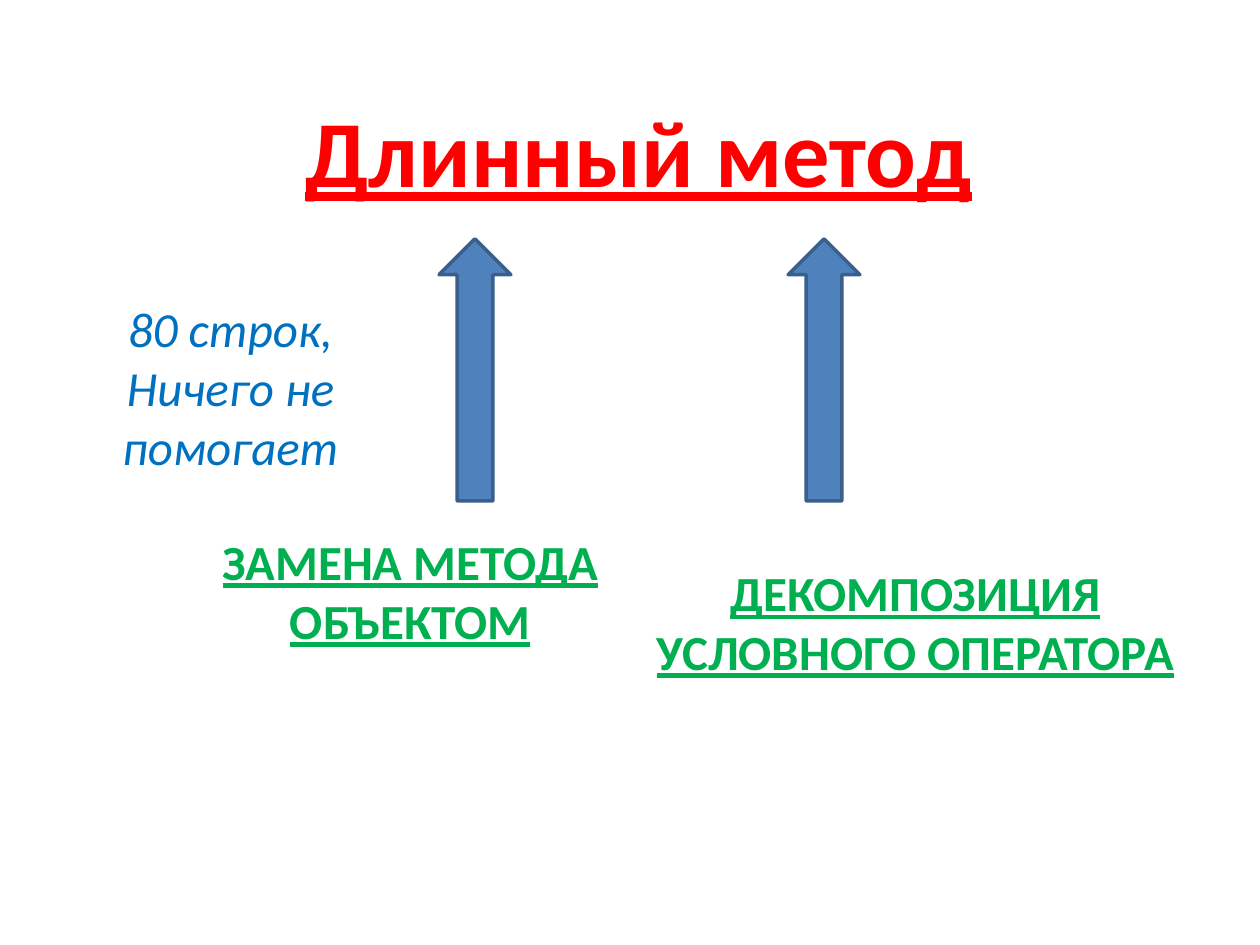
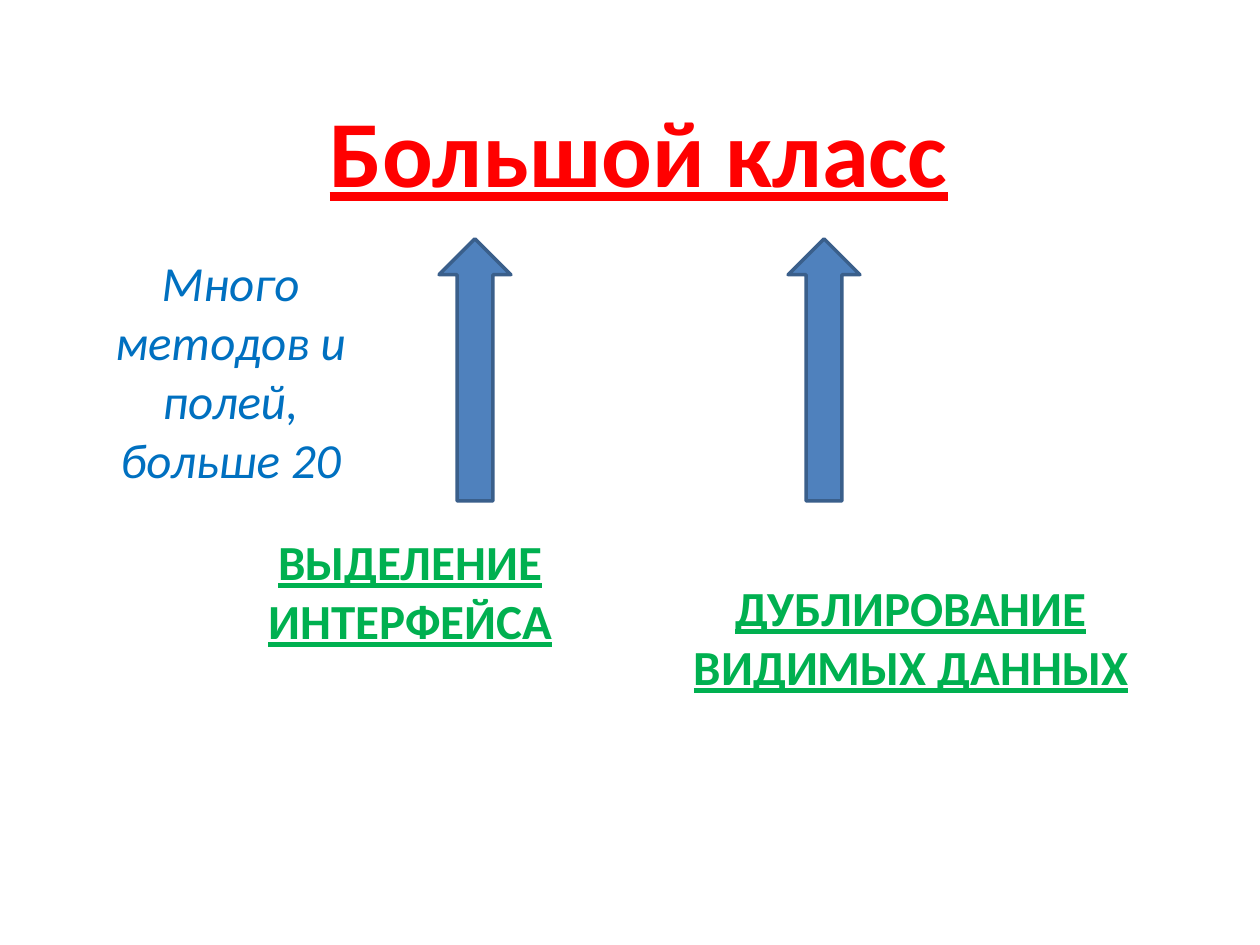
from pptx import Presentation
from pptx.dml.color import RGBColor
from pptx.enum.shapes import MSO_SHAPE
from pptx.enum.text import MSO_ANCHOR, PP_ALIGN
from pptx.util import Inches, Pt

ARROW = MSO_SHAPE.RIGHT_ARROW
MIDDLE = MSO_ANCHOR.MIDDLE
CENTER = PP_ALIGN.CENTER

FONT = "Calibri"
RED, BLUE, GREEN = "FF0000", "0070C0", "00B050"
FILL, EDGE = "4F81BD", "3A5F8B"


def color(code):
    return RGBColor.from_string(code)


def write(frame, lines, size=28, tint=GREEN, bold=False, italic=False, under=False):
    frame.word_wrap = True
    frame.vertical_anchor = MIDDLE
    for i, line in enumerate(lines):
        para = frame.paragraphs[0] if i == 0 else frame.add_paragraph()
        para.alignment = CENTER
        run = para.add_run()
        run.text = line
        font = run.font
        font.name, font.size = FONT, Pt(size)
        font.bold, font.italic, font.underline = bold, italic, under
        font.color.rgb = color(tint)


class Deck:
    def __init__(self):
        self.prs = Presentation()
        self.prs.slide_width = Inches(10)
        self.prs.slide_height = Inches(7.5)
        self.slide = None

    def page(self):
        self.slide = self.prs.slides.add_slide(self.prs.slide_layouts[6])

    def text(self, box, *lines, **style):
        shape = self.slide.shapes.add_textbox(*map(Inches, box))
        write(shape.text_frame, lines, **style)

    def title(self, words):
        self.text((1.25, 0.76, 7.64, 0.85), words,
                  size=54, tint=RED, bold=True, under=True)

    def note(self, top, height, *lines):
        self.text((0.78, top, 2.1, height), *lines, tint=BLUE, italic=True)

    def cure(self, left, width, height, words):
        self.text((left, 4.26, width, height), words, bold=True, under=True)

    def arrow(self, left):
        box = map(Inches, (left, 2.65, 2.08, 0.57))
        shape = self.slide.shapes.add_shape(ARROW, *box)
        shape.rotation = 270
        shape.shadow.inherit = False
        shape.fill.solid()
        shape.fill.fore_color.rgb = color(FILL)
        shape.line.color.rgb = color(EDGE)
        shape.line.width = Pt(2)

    def smell(self, title, note, first, second):
        self.page()
        self.title(title)
        self.note(*note)
        for left in (2.73, 5.5):
            self.arrow(left)
        self.cure(1.44, 3.63, 0.85, first)
        self.cure(*second)


def main():
    deck = Deck()
    deck.smell(
        "Длинный метод",
        (2.75, 0.64, "80 строк,", "Ничего не помогает"),
        "ЗАМЕНА МЕТОДА ОБЪЕКТОМ",
        (5.08, 4.37, 1.35, "ДЕКОМПОЗИЦИЯ УСЛОВНОГО ОПЕРАТОРА"),
    )
    deck.smell(
        "Большой класс",
        (2.02, 1.84, "Много методов и полей, больше 20"),
        "ВЫДЕЛЕНИЕ ИНТЕРФЕЙСА",
        (5.01, 4.44, 1.58, "ДУБЛИРОВАНИЕ ВИДИМЫХ ДАННЫХ"),
    )
    deck.prs.save("out.pptx")


if __name__ == "__main__":
    main()
